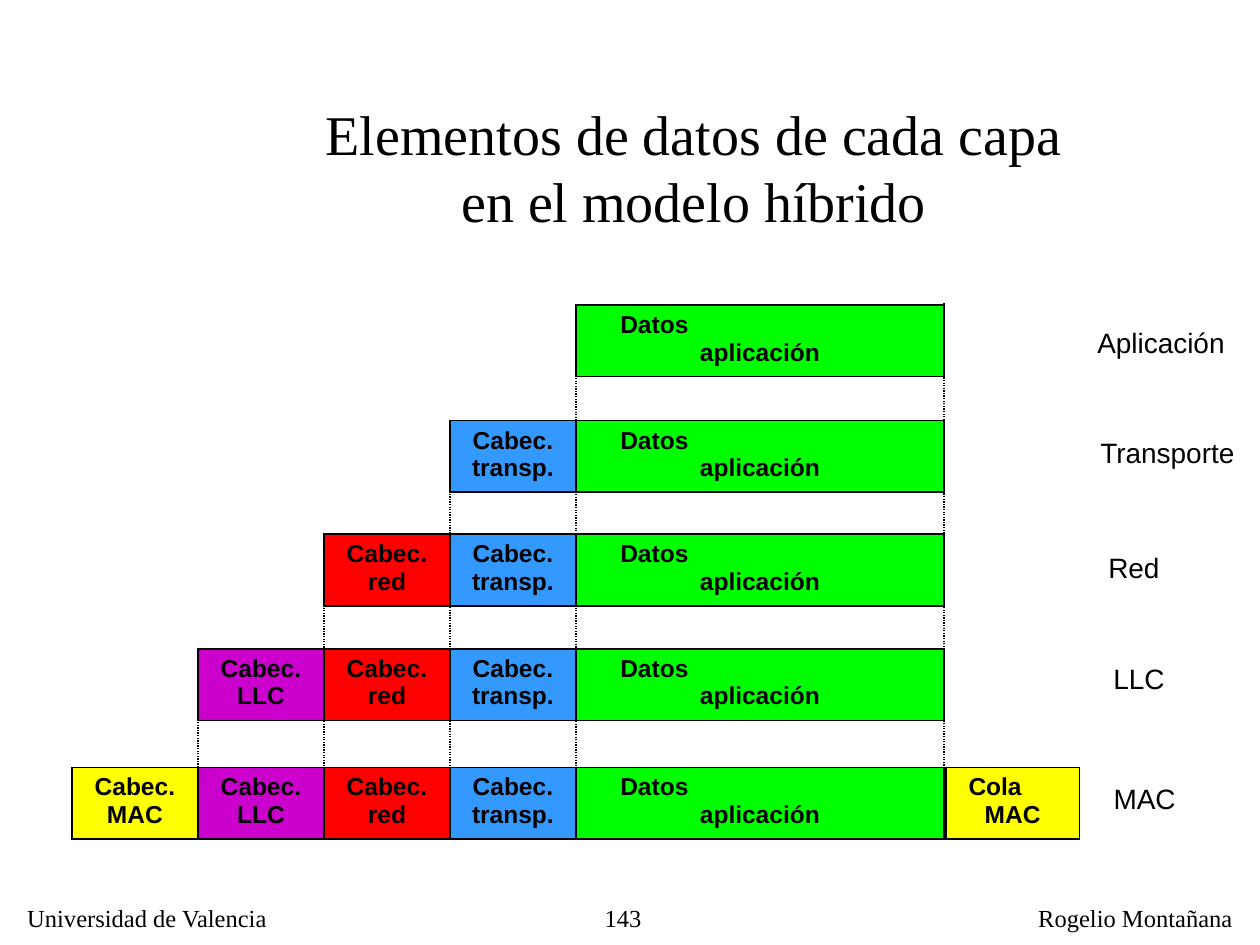
from lxml import etree
from pptx import Presentation
from pptx.dml.color import RGBColor
from pptx.enum import dml, shapes, text
from pptx.oxml import ns
from pptx.util import Cm, Pt

BLACK = RGBColor(0, 0, 0)
YELLOW = RGBColor(0xFF, 0xFF, 0)
PURPLE = RGBColor(0xCC, 0, 0xCC)
RED = RGBColor(0xFF, 0, 0)
BLUE = RGBColor(0x33, 0x99, 0xFF)
GREEN = RGBColor(0, 0xFF, 0)

SERIF, SANS = "Times New Roman", "Arial"
LEFT, CENTER, RIGHT = (text.PP_ALIGN.LEFT, text.PP_ALIGN.CENTER,
                       text.PP_ALIGN.RIGHT)

# Grid, in cm
GRID_LEFT, HEADER_W, DATA_W, TAIL_W, CELL_H = 1.45, 2.54, 7.42, 2.69, 1.43
ROW_TOPS = [6.15, 8.48, 10.77, 13.08, 15.47]
HEADERS = [("Cabec. MAC", YELLOW), ("Cabec. LLC", PURPLE),
           ("Cabec. red", RED), ("Cabec. transp.", BLUE)]
LAYERS = [  # name, left, top, width
    ("Aplicación", 21.77, 6.43, 3.27),
    ("Transporte", 21.82, 8.65, 3.43),
    ("Red", 22, 10.97, 1.72),
    ("LLC", 22.1, 13.21, 1.72),
    ("MAC", 22.1, 15.63, 1.95),
]
GUIDES = [(1, 14.35, 16.69), (2, 12.04, 16.69), (3, 8.86, 16.89),
          (4, 6.32, 16.48)]  # column, top, bottom
FOOTERS = [("Universidad de Valencia", 0.3, 5.5, LEFT),
           ("143", 10.49, 2.69, RIGHT),
           ("Rogelio Montañana", 20.68, 4.6, LEFT)]


def column_left(col):
    return GRID_LEFT + col * HEADER_W


def style(p, font, size, align, bold=False):
    p.alignment = align
    f = p.font
    f.name, f.size, f.bold = font, Pt(size), bold
    f.color.rgb = BLACK


def add_title(s, lines):
    sp = s.shapes.title
    sp.left, sp.top, sp.width, sp.height = Cm(6.09), Cm(1.88), Cm(15.8), Cm(2.97)
    tf = sp.text_frame
    tf.text = "\n".join(lines)
    tf.word_wrap = False
    tf.auto_size = text.MSO_AUTO_SIZE.SHAPE_TO_FIT_TEXT
    tf.vertical_anchor = text.MSO_ANCHOR.TOP
    for p in tf.paragraphs:
        style(p, SERIF, 32, CENTER)


def add_label(s, words, left, top, width, height, font, size, align):
    tf = s.shapes.add_textbox(Cm(left), Cm(top), Cm(width), Cm(height)).text_frame
    tf.text = words
    tf.word_wrap = False
    tf.auto_size = text.MSO_AUTO_SIZE.SHAPE_TO_FIT_TEXT
    style(tf.paragraphs[0], font, size, align)


def add_guide(s, x, top, bottom):
    line = s.shapes.add_connector(shapes.MSO_CONNECTOR.STRAIGHT,
                                  Cm(x), Cm(top), Cm(x), Cm(bottom))
    line.line.color.rgb = BLACK
    line.line.width = Pt(0.75)
    line.line.dash_style = dml.MSO_LINE.ROUND_DOT
    etree.SubElement(line._element.spPr, ns.qn("a:effectLst"))


def add_borders(cell):
    tc_pr = cell._tc.get_or_add_tcPr()
    for side in ("lnL", "lnR", "lnT", "lnB"):
        ln = etree.SubElement(tc_pr, ns.qn("a:" + side), w=str(Pt(1.08)))
        fill = etree.SubElement(ln, ns.qn("a:solidFill"))
        etree.SubElement(fill, ns.qn("a:srgbClr"), val=str(BLACK))


def add_field(s, words, left, top, width, color, indent=None):
    """One-cell table; with an indent, its first line is set to the left."""
    table = s.shapes.add_table(1, 1, Cm(left), Cm(top), Cm(width), Cm(CELL_H)).table
    table.first_row = table.horz_banding = False
    cell = table.cell(0, 0)
    add_borders(cell)
    cell.fill.solid()
    cell.fill.fore_color.rgb = color
    cell.text = words
    paragraphs = cell.text_frame.paragraphs
    for p in paragraphs:
        style(p, SANS, 14, CENTER, bold=True)
    if indent is not None:
        paragraphs[0].alignment = LEFT
        paragraphs[0]._p.get_or_add_pPr().set("marL", str(Cm(indent)))


def main():
    prs = Presentation()
    prs.slide_width, prs.slide_height = Cm(25.4), Cm(19.05)
    s = prs.slides.add_slide(prs.slide_layouts[5])

    # Footer and title
    for words, left, width, align in FOOTERS:
        add_label(s, words, left, 18.08, width, 0.86, SERIF, 14, align)
    add_title(s, ["Elementos de datos de cada capa", "en el modelo híbrido"])

    # Dotted guides along the column edges
    data_left = column_left(len(HEADERS))
    data_right = data_left + DATA_W
    for col, top, bottom in GUIDES:
        add_guide(s, column_left(col), top, bottom)
    add_guide(s, data_right, 6.1, 16.48)

    # Each layer puts one more header before the data
    for row, top in enumerate(ROW_TOPS):
        for col in range(len(HEADERS) - row, len(HEADERS)):
            words, color = HEADERS[col]
            add_field(s, words, column_left(col), top, HEADER_W, color)
        add_field(s, "Datos\naplicación", data_left, top, DATA_W, GREEN, 0.64)
    add_field(s, "Cola\nMAC", data_right + 0.04, ROW_TOPS[-1], TAIL_W, YELLOW, 0.2)

    # Layer names
    for name, left, top, width in LAYERS:
        add_label(s, name, left, top, width, 0.94, SANS, 16, CENTER)

    prs.save("out.pptx")


if __name__ == "__main__":
    main()
